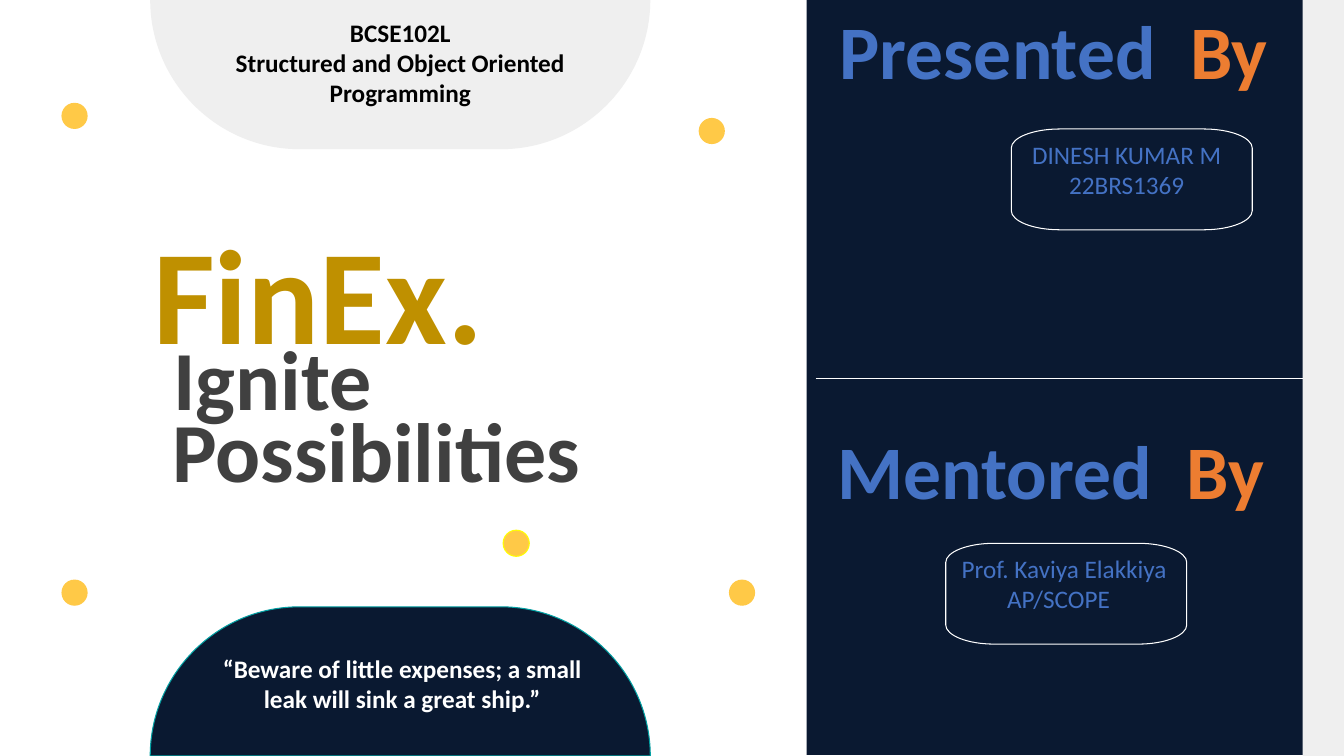
"""Build the FinEx cover slide."""
from dataclasses import dataclass

from lxml.etree import SubElement
from pptx import Presentation
from pptx.dml.color import RGBColor
from pptx.enum.shapes import MSO_CONNECTOR as Connector, MSO_SHAPE as Shape
from pptx.enum.text import MSO_ANCHOR as Anchor, PP_ALIGN as Align
from pptx.oxml.ns import qn
from pptx.util import Pt

PX = 9144
ARC = 0.55


@dataclass(frozen=True)
class Theme:
    """Colours, font and type sizes of the slide."""
    navy: str = "0A1931"
    teal: str = "03A1A4"
    pale: str = "EFEFEF"
    amber: str = "FFC947"
    yellow: str = "FFFF00"
    blue: str = "4472C4"
    orange: str = "ED7D31"
    gold: str = "BF9000"
    slate: str = "404040"
    white: str = "FFFFFF"
    black: str = "000000"
    font: str = "Calibri"
    title: int = 96
    tagline: int = 60
    heading: int = 54
    body: int = 18


class CoverPage:
    """Draws elements on one page with one theme."""

    def __init__(self, page, theme):
        self.page = page
        self.theme = theme

    def paint(self, shape, fill=None, line=None, weight=0.75):
        """Set the fill and outline of a shape."""
        shape.shadow.inherit = False
        if fill:
            shape.fill.solid()
            shape.fill.fore_color.rgb = RGBColor.from_string(fill)
        else:
            shape.fill.background()
        if line:
            shape.line.color.rgb = RGBColor.from_string(line)
            shape.line.width = Pt(weight)
        else:
            shape.line.fill.background()
        return shape

    def preset(self, kind, area, **paint):
        """Add a painted preset shape."""
        shape = self.page.shapes.add_shape(kind, *(v * PX for v in area))
        return self.paint(shape, **paint)

    def rounded(self, area, radii, top=True, bottom=True, **paint):
        """Add a rectangle with curved corners on the chosen edges."""
        left, upper, width, height = area
        right, lower = left + width, upper + height
        points, curves = [], {}
        corners = ((right, lower), (left, lower), (left, upper), (right, upper))
        for index, (x, y) in enumerate(corners):
            if not (bottom if y == lower else top):
                points.append((x, y))
                continue
            beside = (x - radii[0] if x == right else x + radii[0], y)
            above = (x, y - radii[1] if y == lower else y + radii[1])
            enter, leave = (beside, above) if index % 2 else (above, beside)
            points += [enter, leave]
            curves[len(points) - 1] = [
                (px + (x - px) * ARC, py + (y - py) * ARC) for px, py in (enter, leave)]
        outline = self.page.shapes.build_freeform(*points[0], scale=PX ** -1 and float(PX))
        outline = self.page.shapes.build_freeform(*(v * PX for v in points[0]))
        outline.add_line_segments([(x * PX, y * PX) for x, y in points[1:]], close=True)
        shape = outline.convert_to_shape()
        segments = list(shape._element.iter(qn("a:lnTo")))
        for index, handles in curves.items():
            segment = segments[index - 1]
            end = segment[0]
            segment.tag = qn("a:cubicBezTo")
            for x, y in handles:
                handle = SubElement(segment, qn("a:pt"))
                handle.set("x", str(round((x - left) * PX)))
                handle.set("y", str(round((y - upper) * PX)))
            segment.append(end)
        return self.paint(shape, **paint)

    def divider(self, start, end, target, side):
        """Add a thin white line joined to the side of a shape."""
        line = self.page.shapes.add_connector(
            Connector.STRAIGHT, *(v * PX for v in start + end))
        line.end_connect(target, side)
        line.line.color.rgb = RGBColor.from_string(self.theme.white)
        line.line.width = Pt(0.5)
        SubElement(line._element.spPr, qn("a:effectLst"))

    def span(self, para, text, size, color, bold=False):
        """Add one formatted run to a paragraph."""
        span = para.add_run()
        span.text = text
        span.font.name = self.theme.font
        span.font.size = Pt(size)
        span.font.bold = bold
        span.font.color.rgb = RGBColor.from_string(color)

    def text(self, area, lines, box=None, align=Align.CENTER, indents=(), **font):
        """Fill a box with lines of text in one format."""
        box = box or self.page.shapes.add_textbox(0, 0, 0, 0)
        box.left, box.top, box.width, box.height = (v * PX for v in area)
        frame = box.text_frame
        frame.word_wrap = True
        frame.vertical_anchor = Anchor.TOP
        for index, line in enumerate(lines):
            para = frame.add_paragraph() if index else frame.paragraphs[0]
            para.alignment = align
            if index < len(indents):
                para._p.get_or_add_pPr().set("marL", str(indents[index] * PX))
            self.span(para, line, **font)
        return box

    def heading(self, area, word):
        """Add a two-coloured heading that ends in By."""
        look = {"size": self.theme.heading, "bold": True}
        box = self.text(area, [word + " "], indents=(34,), color=self.theme.blue, **look)
        self.span(box.text_frame.paragraphs[0], " By", color=self.theme.orange, **look)


def main():
    """Build and save the deck."""
    theme = Theme()
    deck = Presentation()
    deck.slide_width, deck.slide_height = 1333 * PX, 750 * PX
    page = deck.slides.add_slide(deck.slide_layouts[5])
    cover = CoverPage(page, theme)

    cover.preset(Shape.RECTANGLE, (800, -1, 523, 750), fill=theme.navy)
    cover.rounded((149, 602, 496, 148), (148, 148), bottom=False,
                  fill=theme.navy, line=theme.teal)
    cover.rounded((149, 0, 496, 148), (148, 148), top=False, fill=theme.pale)
    for left, top, line in ((61, 102, None), (723, 575, None), (693, 117, None),
                            (499, 526, theme.yellow), (61, 575, None)):
        cover.preset(Shape.OVAL, (left, top, 26, 26), fill=theme.amber, line=line)
    strip = cover.preset(Shape.RECTANGLE, (1292, 0, 41, 750), fill=theme.pale)
    cover.divider((809, 375), (1292, 375), strip, 1)

    cover.text((142, 203, 362, 172), ["FinEx."], box=page.shapes.title,
               align=Align.LEFT, size=theme.title, color=theme.gold, bold=True)
    for row, word in enumerate(("Ignite", "Possibilities")):
        cover.text((162 - row, 319 + 71 * row, 548, 111), [word], align=Align.LEFT,
                   size=theme.tagline, color=theme.slate, bold=True)
    cover.text((191, 12, 412, 101),
               ["BCSE102L", "Structured and Object Oriented Programming"],
               size=theme.body, color=theme.black, bold=True)
    cover.text((193, 643, 412, 71),
               ["“Beware of little expenses; a small leak will sink a great ship.”"],
               size=theme.body, color=theme.white, bold=True)

    cover.heading((756, -1, 544, 192), "Presented")
    cover.heading((753, 416, 544, 192), "Mentored")
    for left, top in ((1003, 128), (938, 539)):
        cover.rounded((left, top, 239, 100), (48, 19), line=theme.white)
    cover.text((1009, 133, 217, 71), ["DINESH KUMAR M", "22BRS1369"],
               size=theme.body, color=theme.blue)
    cover.text((944, 544, 269, 71), ["Prof. Kaviya Elakkiya", "AP/SCOPE"],
               align=Align.LEFT, indents=(0, 45),
               size=theme.body, color=theme.blue)
    deck.save("out.pptx")


if __name__ == "__main__":
    main()
